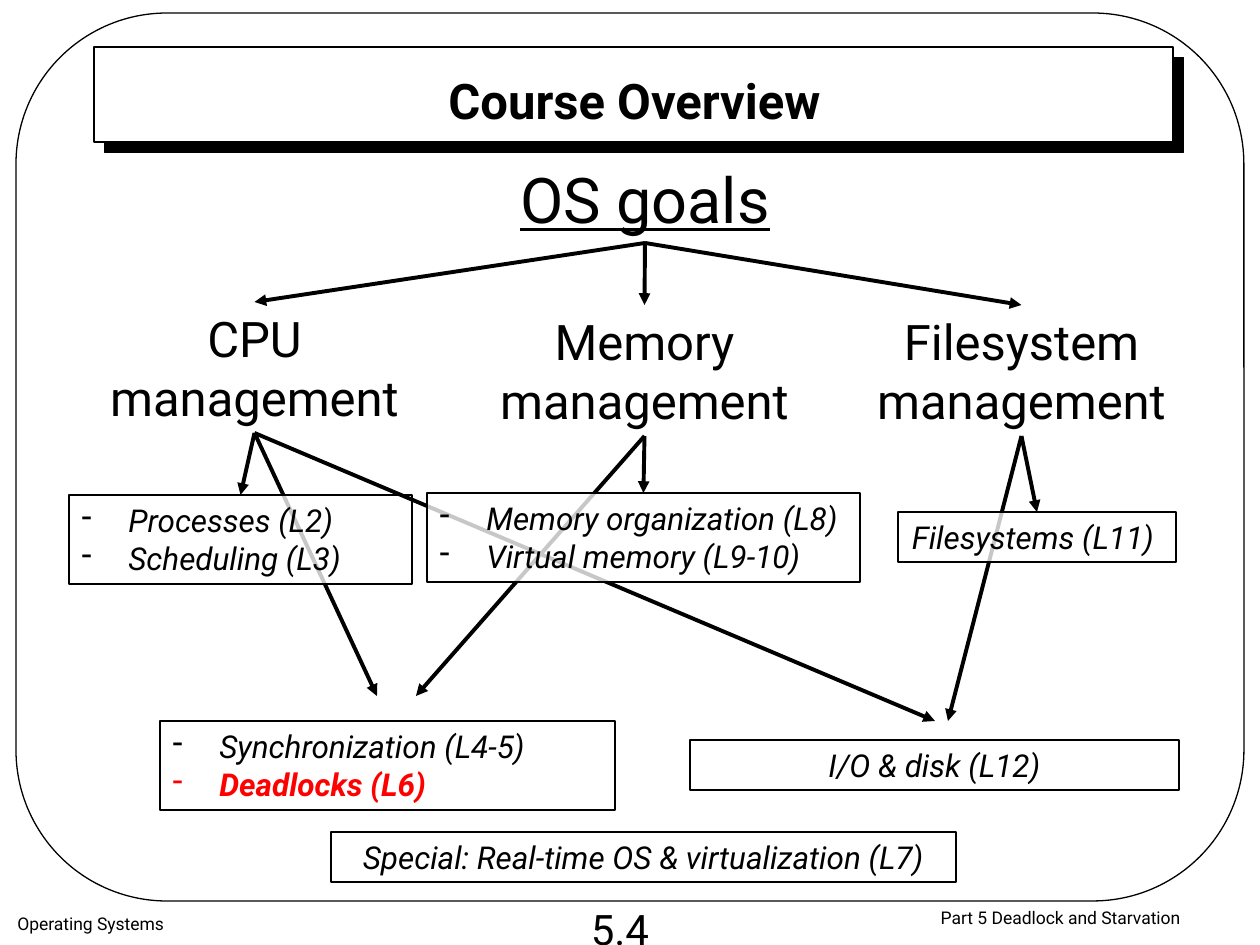
from lxml import etree
from pptx import Presentation
from pptx.dml.color import RGBColor
from pptx.enum.shapes import MSO_CONNECTOR, MSO_SHAPE
from pptx.enum.text import MSO_ANCHOR, PP_ALIGN
from pptx.oxml.ns import qn
from pptx.util import Emu, Pt

PX = 914400 // 126
FONT = "Roboto"
BLACK, WHITE, RED = "000000", "FFFFFF", "FF0000"
RECT, ROUNDED = MSO_SHAPE.RECTANGLE, MSO_SHAPE.ROUNDED_RECTANGLE
STRAIGHT = MSO_CONNECTOR.STRAIGHT
LEFT, CENTER = PP_ALIGN.LEFT, PP_ALIGN.CENTER
TOP, MIDDLE = MSO_ANCHOR.TOP, MSO_ANCHOR.MIDDLE
TOP_SITE, BOTTOM_SITE = 0, 2
HANGING = 47


def px(*lengths):
    return [Emu(length * PX) for length in lengths]


def color(value):
    return RGBColor.from_string(value)


def add_xml(parent, tag, **attributes):
    return etree.SubElement(parent, qn(tag), attributes)


def add_span(para, text, size, ink=BLACK, bold=False, italic=False, underline=False):
    span = para.add_run()
    span.text = text
    font = span.font
    font.name, font.size = FONT, Pt(size)
    font.bold, font.italic, font.underline = bold, italic, underline
    font.color.rgb = color(ink)


def add_label(page, at, text, size, align=CENTER, anchor=TOP, wrap=True, **style):
    box = page.shapes.add_textbox(*px(*at))
    frame = box.text_frame
    frame.word_wrap, frame.vertical_anchor = wrap, anchor
    frame.paragraphs[0].alignment = align
    add_span(frame.paragraphs[0], text, size, **style)
    return box


def add_panel(page, at, kind=RECT, fill=None):
    panel = page.shapes.add_shape(kind, *px(*at))
    if fill:
        panel.fill.solid()
        panel.fill.fore_color.rgb = color(fill)
    else:
        panel.fill.background()
    panel.line.color.rgb = color(BLACK)
    panel.line.width = Pt(0.75)
    panel.shadow.inherit = False
    return panel


def add_hard_shadow(panel):
    effects = panel.element.spPr.find(qn("a:effectLst"))
    shadow = add_xml(effects, "a:outerShdw", dist=str(Pt(8.5)), dir="2700000",
                     algn="ctr", rotWithShape="0")
    add_xml(shadow, "a:srgbClr", val=BLACK)


def add_dash(para):
    properties = para._p.get_or_add_pPr()
    properties.set("marL", str(HANGING * PX))
    properties.set("indent", str(-HANGING * PX))
    add_xml(properties, "a:buChar", char="-")


def add_topics(page, at, topics, highlight=None, veil=False):
    """Framed topics: several become a dashed list, a single one is centred."""
    card = add_panel(page, at, fill=WHITE if veil else None)
    if veil:
        add_xml(card.element.spPr.find(".//" + qn("a:srgbClr")), "a:alpha", val="78000")
    frame = card.text_frame
    frame.word_wrap, frame.vertical_anchor = True, TOP
    for index, topic in enumerate(topics):
        para = frame.add_paragraph() if index else frame.paragraphs[0]
        para.alignment = LEFT if len(topics) > 1 else CENTER
        if len(topics) > 1:
            add_dash(para)
        marked = topic == highlight
        add_span(para, topic, 18, RED if marked else BLACK, bold=marked, italic=True)
    return card


def add_arrow(page, source, target=None, tip=(0, 0)):
    """Arrow from the foot of source to the top of target, or to a free tip."""
    start = (source.left + source.width // 2, source.top + source.height)
    arrow = page.shapes.add_connector(STRAIGHT, *start, *px(*tip))
    arrow.begin_connect(source, BOTTOM_SITE)
    if target is not None:
        arrow.end_connect(target, TOP_SITE)
    arrow.line.color.rgb = color(BLACK)
    arrow.line.width = Pt(2.25)
    add_xml(arrow.line._get_or_add_ln(), "a:tailEnd", type="triangle")
    add_xml(arrow.element.spPr, "a:effectLst")


def add_title(page, at, text):
    title = page.shapes.title
    title.left, title.top, title.width, title.height = px(*at)
    title.text_frame.vertical_anchor = MIDDLE
    para = title.text_frame.paragraphs[0]
    para.alignment = CENTER
    add_span(para, text, 28, bold=True)
    # Bring the title in front of its banner
    title.element.getparent().append(title.element)


def main():
    deck = Presentation()
    deck.slide_width, deck.slide_height = px(1260, 945)
    page = deck.slides.add_slide(deck.slide_layouts[5])

    # Frame, banner and title
    add_hard_shadow(add_panel(page, (94, 47, 1079, 95), fill=WHITE))
    add_panel(page, (16, 13, 1228, 888), ROUNDED).adjustments[0] = 0.17
    add_title(page, (160, 68, 949, 63), "Course Overview")

    # Footer
    add_label(page, (861, 901, 399, 44), "Part 5 Deadlock and Starvation", 10)
    add_label(page, (564, 897, 112, 63), "5.4", 24, anchor=MIDDLE, wrap=False)
    add_label(page, (5, 907, 495, 44), "Operating Systems", 10, align=LEFT)

    # Goals and the three areas
    goals = add_label(page, (456, 154, 378, 89), "OS goals", 36, underline=True)
    cpu, memory, files = [
        add_label(page, (left, top, 315, 131), f"{name} management", 28)
        for left, top, name in ((97, 302, "CPU"), (487, 305, "Memory"),
                                (864, 305, "Filesystem"))]
    for area in (cpu, memory, files):
        add_arrow(page, goals, area)

    # Shared topics
    add_topics(page, (160, 721, 455, 89), ["Synchronization (L4-5)", "Deadlocks (L6)"],
               highlight="Deadlocks (L6)")
    add_topics(page, (690, 740, 489, 50), ["I/O & disk (L12)"])
    add_topics(page, (331, 832, 625, 50), ["Special: Real-time OS & virtualization (L7)"])

    # Long arrows, veiled by the topic cards that follow them
    add_arrow(page, cpu, tip=(377, 696))
    processes = add_topics(page, (69, 495, 343, 89),
                           ["Processes (L2)", "Scheduling (L3)"], veil=True)
    add_arrow(page, memory, tip=(416, 696))
    add_arrow(page, files, tip=(948, 721))
    filesystems = add_topics(page, (898, 512, 278, 50), ["Filesystems (L11) "], veil=True)
    add_arrow(page, cpu, tip=(935, 721))
    organization = add_topics(page, (427, 493, 433, 89),
                              ["Memory organization (L8)", "Virtual memory (L9-10)"],
                              veil=True)

    # Short arrows from each area to its own topics
    for area, card in ((cpu, processes), (memory, organization), (files, filesystems)):
        add_arrow(page, area, card)

    deck.save("out.pptx")


if __name__ == "__main__":
    main()
